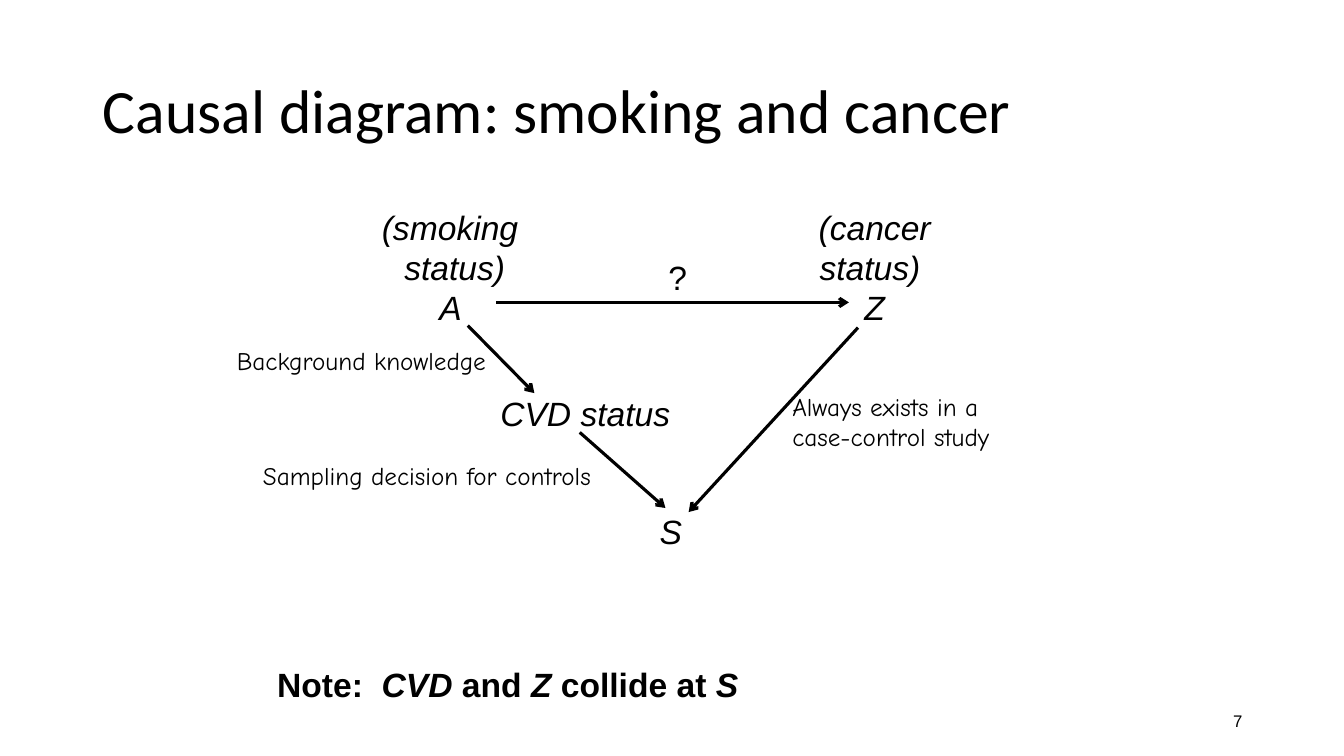
from dataclasses import dataclass

import pptx
import pptx.dml.color
import pptx.enum.shapes
import pptx.enum.text
import pptx.oxml.ns
import pptx.oxml.xmlchemy
import pptx.presentation
import pptx.shapes.base
import pptx.slide
import pptx.text.text
import pptx.util

Inches = pptx.util.Inches
Align = pptx.enum.text.PP_ALIGN
Anchor = pptx.enum.text.MSO_ANCHOR


@dataclass(frozen=True)
class TextStyle:
    font: str
    size: int


@dataclass(frozen=True)
class Theme:
    ink: pptx.dml.color.RGBColor = pptx.dml.color.RGBColor(0, 0, 0)
    arrow_width: float = 2.25
    title: TextStyle = TextStyle("Calibri", 44)
    node: TextStyle = TextStyle("Arial", 24)
    remark: TextStyle = TextStyle("Comic Neue", 18)
    page_number: TextStyle = TextStyle("Arial", 12)


THEME = Theme()


@dataclass(frozen=True)
class Span:
    text: str
    italic: bool = False
    bold: bool = False


@dataclass(frozen=True)
class Label:
    left: float
    top: float
    width: float
    height: float
    style: TextStyle
    lines: list[list[Span]]
    align: Align = Align.LEFT
    wrap: bool = False
    anchor: Anchor = Anchor.TOP


@dataclass(frozen=True)
class Arrow:
    start: tuple[float, float]
    end: tuple[float, float]


def node(left: float, top: float, width: float, height: float,
         *lines: str, wrap: bool = False) -> Label:
    return Label(left, top, width, height, THEME.node,
                 [[Span(line, italic=True)] for line in lines], Align.CENTER, wrap)


def remark(left: float, top: float, width: float, height: float,
           *lines: str, wrap: bool = False) -> Label:
    return Label(left, top, width, height, THEME.remark,
                 [[Span(line)] for line in lines], wrap=wrap)


TITLE = Label(0.92, 0.4, 11.5, 1.45, THEME.title,
              [[Span("Causal diagram: smoking and cancer")]],
              wrap=True, anchor=Anchor.MIDDLE)

LABELS = [
    node(3.68, 2, 1.66, 1.31, "(smoking ", "status)", "A "),
    node(8.01, 2, 1.33, 1.31, "(cancer", "status) ", "Z"),
    node(4.86, 3.85, 1.89, 0.5, "CVD status"),
    node(4.44, 5.02, 4.52, 0.51, "S ", wrap=True),
    Label(6.53, 2.5, 0.39, 0.5, THEME.node, [[Span("?")]]),
    remark(2.25, 3.38, 2.81, 0.4, "Background knowledge"),
    remark(2.51, 4.52, 3.99, 0.4, "Sampling decision for controls", wrap=True),
    remark(7.76, 3.83, 2.37, 0.7, "Always exists in a", "case-control study"),
    Label(2.65, 6.54, 4.82, 0.51, THEME.node, [[
        Span("Note:  ", bold=True),
        Span("CVD", italic=True, bold=True),
        Span(" and ", bold=True),
        Span("Z", italic=True, bold=True),
        Span(" collide at ", bold=True),
        Span("S", italic=True, bold=True),
    ]]),
    Label(9.42, 6.95, 3, 0.4, THEME.page_number, [[Span("7")]],
          Align.RIGHT, True, Anchor.MIDDLE),
]

ARROWS = [
    Arrow((4.92, 3), (8.42, 3)),
    Arrow((4.64, 3.23), (5.3, 3.9)),
    Arrow((5.75, 4.29), (6.6, 5.04)),
    Arrow((8.51, 3.25), (6.83, 5.08)),
]


def add_span(para: pptx.text.text._Paragraph, span: Span, style: TextStyle) -> None:
    run = para.add_run()
    run.text = span.text
    run.font.name = style.font
    run.font.size = pptx.util.Pt(style.size)
    run.font.italic = span.italic
    run.font.bold = span.bold
    run.font.color.rgb = THEME.ink


def fill_label(box: pptx.shapes.base.BaseShape, label: Label) -> None:
    box.left, box.top = Inches(label.left), Inches(label.top)
    box.width, box.height = Inches(label.width), Inches(label.height)
    frame = box.text_frame
    frame.word_wrap = label.wrap
    frame.vertical_anchor = label.anchor
    for index, line in enumerate(label.lines):
        para = frame.add_paragraph() if index else frame.paragraphs[0]
        para.alignment = label.align
        for span in line:
            add_span(para, span, label.style)


def add_label(page: pptx.slide.Slide, label: Label) -> None:
    fill_label(page.shapes.add_textbox(0, 0, 0, 0), label)


def add_arrow(page: pptx.slide.Slide, arrow: Arrow) -> None:
    connector = page.shapes.add_connector(
        pptx.enum.shapes.MSO_CONNECTOR.STRAIGHT,
        *map(Inches, arrow.start + arrow.end))
    connector.line.color.rgb = THEME.ink
    connector.line.width = pptx.util.Pt(THEME.arrow_width)
    tail = pptx.oxml.xmlchemy.OxmlElement("a:tailEnd")
    tail.set("type", "arrow")
    connector.line._get_or_add_ln().append(tail)
    properties = connector._element.find(pptx.oxml.ns.qn("p:spPr"))
    properties.append(pptx.oxml.xmlchemy.OxmlElement("a:effectLst"))


def add_title(page: pptx.slide.Slide) -> None:
    title = page.shapes.title
    fill_label(title, TITLE)
    title.text_frame.paragraphs[0].line_spacing = 0.9


def build_deck() -> pptx.presentation.Presentation:
    deck = pptx.Presentation()
    deck.slide_width, deck.slide_height = Inches(13.33), Inches(7.5)
    page = deck.slides.add_slide(deck.slide_layouts.get_by_name("Title Only"))
    add_title(page)
    for arrow in ARROWS:
        add_arrow(page, arrow)
    for label in LABELS:
        add_label(page, label)
    return deck


def main() -> None:
    build_deck().save("out.pptx")


if __name__ == "__main__":
    main()
